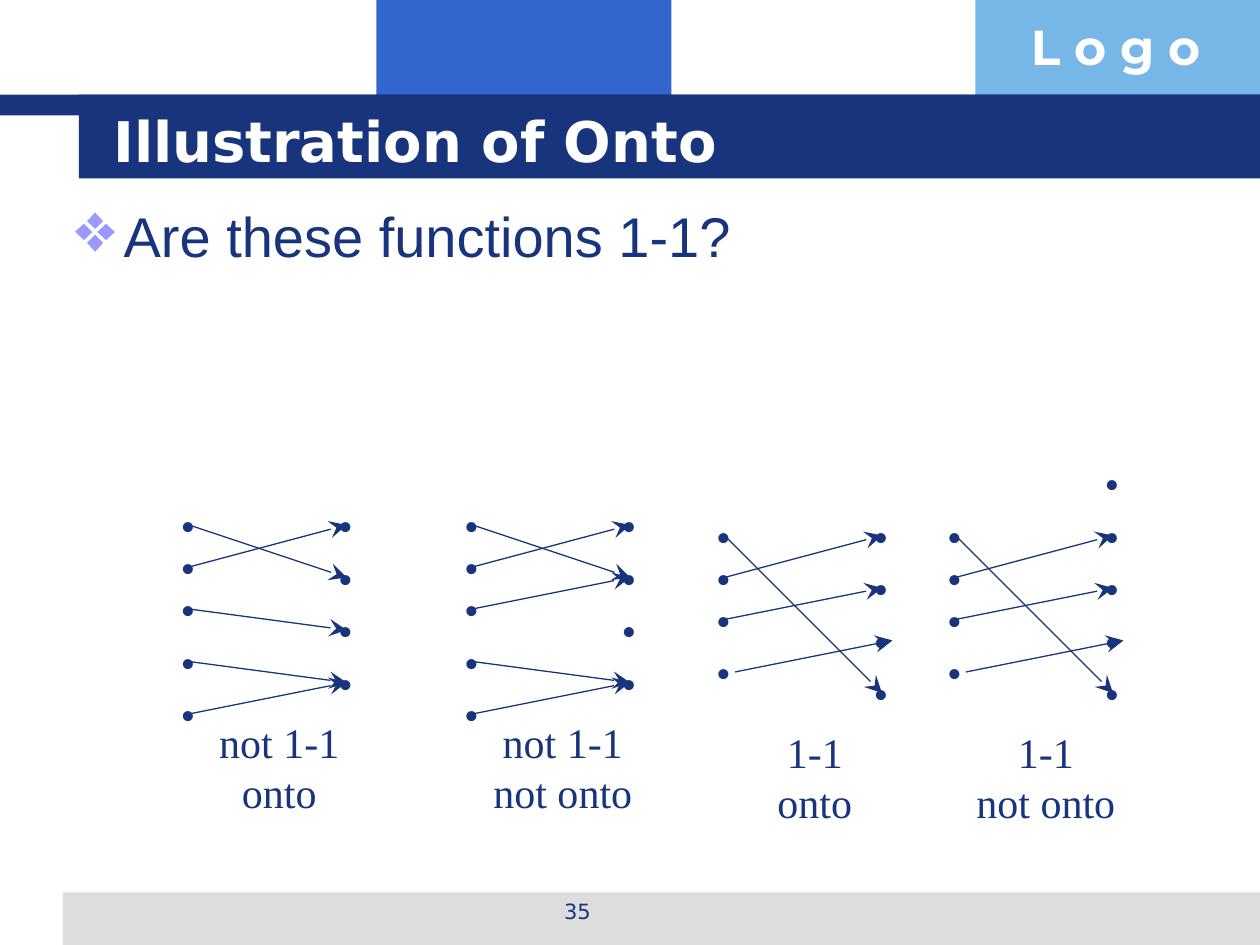
from dataclasses import dataclass
from typing import NamedTuple

from lxml import etree
from pptx import Presentation, util as u
from pptx.dml.color import RGBColor
from pptx.enum import shapes, text
from pptx.oxml import ns

CELL = u.Inches(1) / 12  # the page is a grid of 120 columns by 90 rows


@dataclass(frozen=True)
class Theme:
    navy: str = "17347D"
    blue: str = "3366CC"
    sky: str = "77B7E7"
    grey: str = "DDDDDD"
    lilac: str = "9999FF"
    white: str = "FFFFFF"
    heading: int = 32
    logo: int = 28
    label: int = 24
    number: int = 12
    line: float = 0.75


THEME = Theme()


class Area(NamedTuple):
    column: float
    row: float
    columns: float
    rows: float


class Style(NamedTuple):
    font: str
    size: int
    color: str = THEME.navy
    bold: bool = False
    centred: bool = False
    middle: bool = False
    wrap: bool = True


class Arrow(NamedTuple):
    start: int  # index of a left dot
    end: int  # index of a right dot
    shift: int = 0  # columns


@dataclass(frozen=True)
class Mapping:
    """One function drawn as dots and arrows; rows count from its first dot."""
    caption: str
    caption_columns: float
    column: int
    row: int
    left: tuple[int, ...]
    right: tuple[int, ...]
    arrows: tuple[Arrow, ...]


LABEL = Style("Times New Roman", THEME.label, centred=True, middle=True, wrap=False)
TITLE = Style("DejaVu Sans", THEME.heading, THEME.white, bold=True, middle=True)
LOGO = Style("Montserrat", THEME.logo, THEME.white, bold=True)
NUMBER = Style("DejaVu Sans", THEME.number, centred=True)
BODY = Style("Arial", THEME.heading)

BANDS = (
    (Area(35.84, 0, 28.1, 11), THEME.blue),
    (Area(92.9, 0, 27.1, 11), THEME.sky),
    (Area(6, 85, 114, 5), THEME.grey),
    (Area(0, 9, 120, 2), THEME.navy),
    (Area(7.5, 9, 112.5, 8), THEME.navy),
)

DOT_COLUMNS, DOT_ROWS = 3.8, 6
SPAN = 15  # columns between the left and right dots
ANCHOR_COLUMN, ANCHOR_ROW = 2, 3  # where arrows meet a dot's box
CAPTION_CENTRE, CAPTION_ROW, CAPTION_ROWS = 10.6, 20.6, 10.8

FIVE, FOUR = (0, 4, 8, 13, 18), (0, 4, 8, 13)
TARGETS = (0, 5, 10, 15)
ONE_TO_ONE = (Arrow(1, 0), Arrow(2, 1), Arrow(0, 3), Arrow(3, 2, shift=1))

MAPPINGS = (
    Mapping("not 1-1\vonto", 14.2, 16, 47, FIVE, TARGETS,
            (Arrow(0, 1), Arrow(1, 0), Arrow(2, 2), Arrow(3, 3), Arrow(4, 3))),
    Mapping("not 1-1\vnot onto", 15.8, 43, 47, FIVE, TARGETS,
            (Arrow(0, 1), Arrow(1, 0), Arrow(2, 1), Arrow(3, 3), Arrow(4, 3))),
    Mapping("1-1\vonto", 9.8, 67, 48, FOUR, TARGETS, ONE_TO_ONE),
    Mapping("1-1\vnot onto", 15.8, 89, 48, FOUR, TARGETS + (-5,), ONE_TO_ONE),
)


def cells(*counts: float) -> list[u.Emu]:
    return [u.Emu(round(count * CELL)) for count in counts]


def add_band(page, area: Area, color: str) -> None:
    band = page.shapes.add_shape(shapes.MSO_SHAPE.RECTANGLE, *cells(*area))
    band.shadow.inherit = False
    band.fill.solid()
    band.fill.fore_color.rgb = RGBColor.from_string(color)
    band.line.fill.background()


def add_text(page, area: Area, words: str, style: Style):
    """Add a one-paragraph text box and return the paragraph."""
    frame = page.shapes.add_textbox(*cells(*area)).text_frame
    frame.word_wrap = style.wrap
    if not style.wrap:
        frame.auto_size = text.MSO_AUTO_SIZE.SHAPE_TO_FIT_TEXT
    if style.middle:
        frame.vertical_anchor = text.MSO_ANCHOR.MIDDLE
    para = frame.paragraphs[0]
    para.text = words
    if style.centred:
        para.alignment = text.PP_ALIGN.CENTER
    para.font.name = style.font
    para.font.size = u.Pt(style.size)
    para.font.bold = style.bold
    para.font.color.rgb = RGBColor.from_string(style.color)
    return para


def add_bullet(para, symbol: str, color: str, indent: float, percent: int) -> None:
    props = para._p.get_or_add_pPr()
    width = cells(indent)[0]
    props.set("marL", str(width))
    props.set("indent", str(-width))
    tint = etree.Element(ns.qn("a:buClr"))
    etree.SubElement(tint, ns.qn("a:srgbClr"), val=color)
    size = etree.Element(ns.qn("a:buSzPct"), val=str(percent * 1000))
    mark = etree.Element(ns.qn("a:buChar"), char=symbol)
    defaults = props.find(ns.qn("a:defRPr"))
    for element in (tint, size, mark):
        defaults.addprevious(element)


def add_arrow(page, start: tuple[float, float], end: tuple[float, float]) -> None:
    arrow = page.shapes.add_connector(shapes.MSO_CONNECTOR.STRAIGHT, *cells(*start, *end))
    arrow.line.color.rgb = RGBColor.from_string(THEME.navy)
    arrow.line.width = u.Pt(THEME.line)
    etree.SubElement(arrow.line._get_or_add_ln(), ns.qn("a:tailEnd"),
                     type="stealth", w="lg", len="lg")
    etree.SubElement(arrow._element.spPr, ns.qn("a:effectLst"))


def draw_mapping(page, mapping: Mapping) -> None:
    left, right = mapping.column, mapping.column + SPAN
    for column, rows in ((left, mapping.left), (right, mapping.right)):
        for row in rows:
            add_text(page, Area(column, mapping.row + row, DOT_COLUMNS, DOT_ROWS), "•", LABEL)
    top = mapping.row + ANCHOR_ROW
    for arrow in mapping.arrows:
        shift = ANCHOR_COLUMN + arrow.shift
        add_arrow(page, (left + shift, top + mapping.left[arrow.start]),
                  (right + shift, top + mapping.right[arrow.end]))
    caption = Area(left + CAPTION_CENTRE - mapping.caption_columns / 2,
                   mapping.row + CAPTION_ROW, mapping.caption_columns, CAPTION_ROWS)
    add_text(page, caption, mapping.caption, LABEL)


def main() -> None:
    deck = Presentation()
    deck.slide_width, deck.slide_height = cells(120, 90)
    page = deck.slides.add_slide(deck.slide_layouts[6])
    for area, color in BANDS:
        add_band(page, area, color)
    add_text(page, Area(97, 1, 23, 6.8), "L o g o", LOGO)
    add_text(page, Area(41, 85, 28, 4.2), "35", NUMBER)
    add_text(page, Area(9.6, 9.6, 102.4, 7.4), "Illustration of Onto", TITLE)
    question = add_text(page, Area(6, 18.6, 108, 64), "Are these functions 1-1?", BODY)
    question.space_before = u.Pt(6.4)
    add_bullet(question, "❖", THEME.lilac, indent=4.6, percent=125)
    for mapping in MAPPINGS:
        draw_mapping(page, mapping)
    deck.save("out.pptx")


if __name__ == "__main__":
    main()
